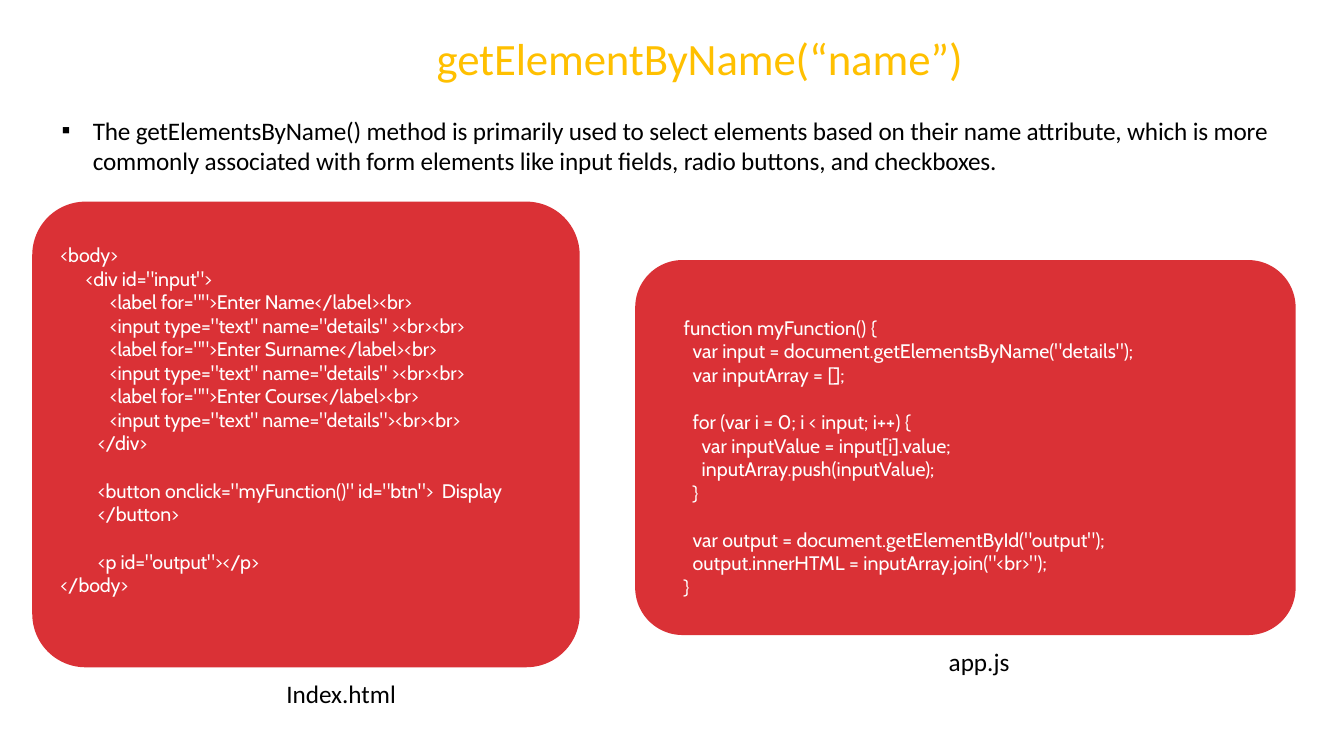
from dataclasses import dataclass

from lxml.etree import SubElement
from pptx import Presentation
from pptx.dml.color import RGBColor
from pptx.enum.shapes import MSO_SHAPE
from pptx.enum.text import MSO_ANCHOR, MSO_AUTO_SIZE, PP_ALIGN
from pptx.oxml.ns import qn
from pptx.util import Inches, Pt


@dataclass(frozen=True)
class Theme:
    gold: RGBColor = RGBColor(0xFF, 0xC0, 0x00)
    black: RGBColor = RGBColor(0, 0, 0)
    white: RGBColor = RGBColor(0xFF, 0xFF, 0xFF)
    red: RGBColor = RGBColor(0xDA, 0x31, 0x36)
    text_font: str = "Calibri"
    code_font: str = "Cabin"
    title_size: int = 32
    body_size: int = 18
    code_size: int = 14
    code_gap: int = 17


THEME = Theme()

# Code lines: indent in inches, text; None marks a gap between blocks
HTML_LINES = [
    (0.01, '<body>'),
    (0.26, '<div id="input">'),
    (0.5, '<label for="">Enter Name</label><br>'),
    (0.5, '<input type="text" name="details" ><br><br>'),
    (0.5, '<label for="">Enter Surname</label><br>'),
    (0.5, '<input type="text" name="details" ><br><br>'),
    (0.5, '<label for="">Enter Course</label><br>'),
    (0.5, '<input type="text" name="details"><br><br>'),
    (0.38, '</div>'),
    None,
    (0.38, '<button onclick="myFunction()" id="btn">  Display'),
    (0.38, '</button>'),
    None,
    (0.38, '<p id="output"></p>'),
    (0.01, '</body>'),
]
SCRIPT_LINES = [
    (0, 'function myFunction() {'),
    (0.09, 'var input = document.getElementsByName("details");'),
    (0.09, 'var inputArray = [];'),
    None,
    (0.09, 'for (var i = 0; i < input; i++) {'),
    (0.18, 'var inputValue = input[i].value;'),
    (0.18, 'inputArray.push(inputValue);'),
    (0.09, '}'),
    None,
    (0.09, 'var output = document.getElementById("output");'),
    (0.09, 'output.innerHTML = inputArray.join("<br>");'),
    (0, '}'),
]


def place(shape, box):
    shape.left, shape.top, shape.width, shape.height = map(Inches, box)


def prepare_frame(text_frame):
    text_frame.word_wrap = True
    text_frame.auto_size = MSO_AUTO_SIZE.NONE
    text_frame.vertical_anchor = MSO_ANCHOR.TOP
    text_frame.margin_left = text_frame.margin_right = 0
    text_frame.margin_top = Inches(0.01)
    text_frame.margin_bottom = 0


def format_paragraph(paragraph, font, size, color, indent=0, hanging=0, before=0, spacing=0):
    paragraph.space_before = Pt(before)
    properties = paragraph._p.get_or_add_pPr()
    properties.set("marL", str(Inches(indent)))
    properties.set("indent", str(Inches(-hanging)))
    for run in paragraph.runs:
        run.font.name = font
        run.font.size = Pt(size)
        run.font.color.rgb = color
        run._r.get_or_add_rPr().set("spc", str(spacing))


def add_title(slide, box, text):
    title = slide.shapes.title
    place(title, box)
    title.text_frame.text = text
    prepare_frame(title.text_frame)
    paragraph = title.text_frame.paragraphs[0]
    paragraph.alignment = PP_ALIGN.CENTER
    format_paragraph(paragraph, THEME.text_font, THEME.title_size, THEME.gold,
                     before=1, spacing=-10)


def add_explanation(slide, box, text):
    body = slide.placeholders[1]
    place(body, box)
    body.text_frame.text = text
    prepare_frame(body.text_frame)
    paragraph = body.text_frame.paragraphs[0]
    format_paragraph(paragraph, THEME.text_font, THEME.body_size, THEME.black,
                     indent=0.33, hanging=0.31, before=1, spacing=-10)
    properties = paragraph._p.get_or_add_pPr()
    SubElement(properties, qn("a:buFont")).set("typeface", "Arial")
    SubElement(properties, qn("a:buChar")).set("char", "▪")


def add_text_box(slide, box):
    text_box = slide.shapes.add_textbox(*map(Inches, box))
    prepare_frame(text_box.text_frame)
    return text_box.text_frame


def add_code_panel(slide, box, lines, text_offset, spacing, corner, caption, caption_offset):
    left, top, width, height = box

    # Rounded panel
    panel = slide.shapes.add_shape(MSO_SHAPE.ROUNDED_RECTANGLE, *map(Inches, box))
    panel.adjustments[0] = corner / min(width, height)
    panel.shadow.inherit = False
    panel.fill.solid()
    panel.fill.fore_color.rgb = THEME.red
    panel.line.fill.background()

    # Code listing
    across, down = text_offset
    text_frame = add_text_box(slide, (left + across, top + down, width - across, height - 2 * down))
    paragraph = text_frame.paragraphs[0]
    before = 0
    for number, line in enumerate(lines):
        if line is None:
            before = THEME.code_gap
            continue
        if number:
            paragraph = text_frame.add_paragraph()
        indent, paragraph.text = line
        format_paragraph(paragraph, THEME.code_font, THEME.code_size, THEME.white,
                         indent=indent, before=before, spacing=spacing)
        before = 0

    # File name below the panel
    caption_frame = add_text_box(
        slide, (left + caption_offset, top + height + 0.1, 1.3, 0.33))
    caption_frame.text = caption
    format_paragraph(caption_frame.paragraphs[0], THEME.text_font, THEME.body_size,
                     THEME.black, indent=0.01, before=1)


def add_method_slide(presentation):
    slide = presentation.slides.add_slide(presentation.slide_layouts[1])
    add_title(slide, (2.78, 0.29, 8.32, 0.56), "getElementByName(“name”)")
    add_explanation(
        slide, (0.59, 1.13, 12.19, 0.63),
        "The getElementsByName() method is primarily used to select elements based on their "
        "name attribute, which is more commonly associated with form elements like input "
        "fields, radio buttons, and checkboxes.")
    add_code_panel(slide, (0.32, 2, 5.43, 4.62), HTML_LINES, (0.27, 0.4), -10, 0.53,
                   "Index.html", 2.51)
    add_code_panel(slide, (6.3, 2.58, 6.55, 3.72), SCRIPT_LINES, (0.48, 0.54), 0, 0.47,
                   "app.js", 3.1)


def main():
    presentation = Presentation()
    presentation.slide_width = Inches(13.33)
    presentation.slide_height = Inches(7.5)
    add_method_slide(presentation)
    presentation.save("out.pptx")


if __name__ == "__main__":
    main()
